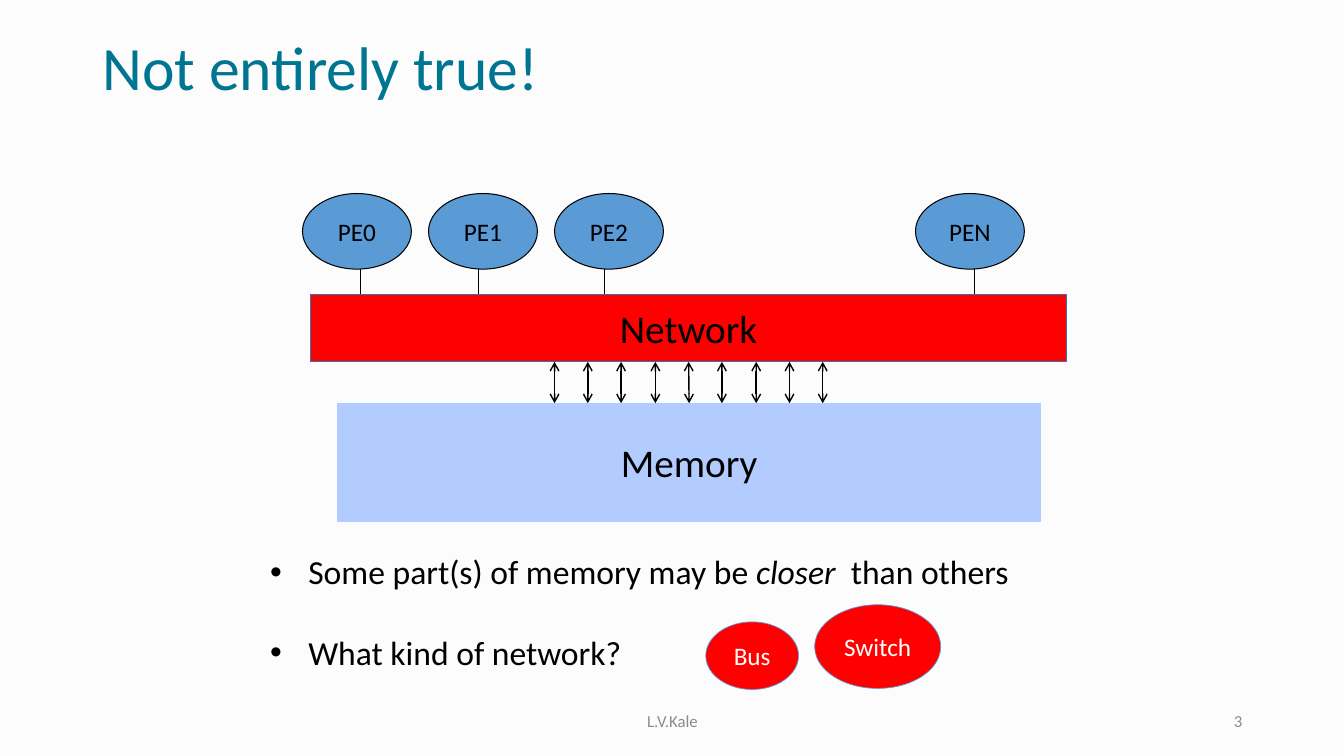
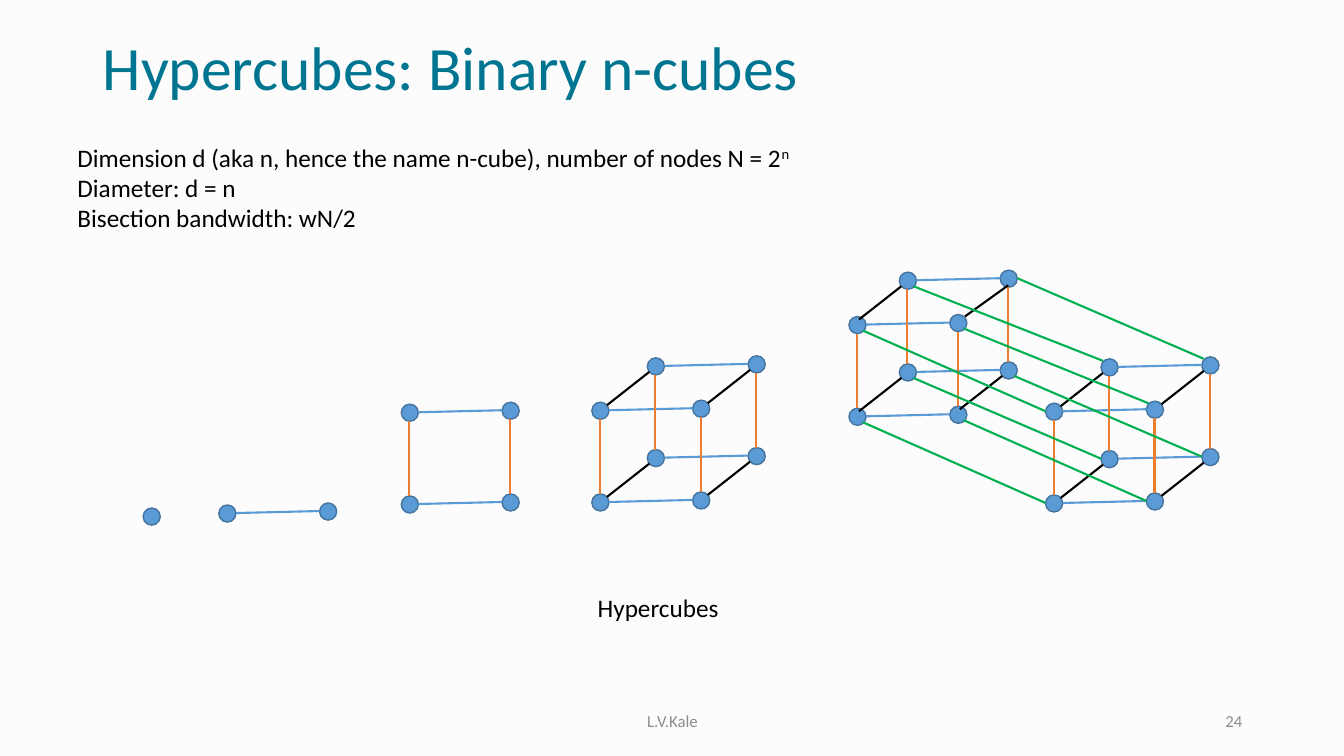
"""Build two lecture slides on shared memory networks and hypercubes."""
from itertools import product

from lxml.etree import SubElement
from pptx import Presentation
from pptx.dml.color import RGBColor
from pptx.enum.shapes import MSO_CONNECTOR as Connector, MSO_SHAPE as Shape
from pptx.enum.text import MSO_ANCHOR as Anchor, PP_ALIGN as Align
from pptx.oxml.ns import qn
from pptx.util import Emu, Pt

PAPER = RGBColor(0xFC, 0xFC, 0xFC)
TEAL = RGBColor(0x00, 0x75, 0x92)
GREY = RGBColor(0x8C, 0x8C, 0x8C)
BLACK = RGBColor(0, 0, 0)
WHITE = RGBColor(0xFF, 0xFF, 0xFF)
RED = RGBColor(0xFF, 0, 0)
BLUE = RGBColor(0x5B, 0x9B, 0xD5)
EDGE_BLUE = RGBColor(0x2E, 0x75, 0xB6)
NODE_EDGE = RGBColor(0x43, 0x73, 0x9E)
PALE_BLUE = RGBColor(0xB2, 0xCC, 0xFF)
ORANGE = RGBColor(0xED, 0x7D, 0x31)
GREEN = RGBColor(0x00, 0xB0, 0x50)

EMU_PER_PX = 9144
NODE = 17
STEPS = ((100, -2), (0, -91), (55, -44))
LEFT, RIGHT, TOP, BOTTOM = (0, 8), (17, 8), (8, 0), (8, 17)
TOP_LEFT, BOTTOM_LEFT, BOTTOM_RIGHT = (2, 2), (2, 14), (14, 14)


def px(length):
    """Turn px into EMU."""
    return Emu(length * EMU_PER_PX)


def assign(target, values):
    """Set attributes of an object from a dict."""
    for name, value in values.items():
        setattr(target, name, value)


def shift(point, step):
    """Move a point by a step."""
    return point[0] + step[0], point[1] + step[1]


class Slides:
    """Hold the shared style and the current page."""

    def __init__(self):
        """Start a deck with its size and background."""
        self.deck = Presentation()
        assign(self.deck, {"slide_width": px(1333), "slide_height": px(750)})
        fill = self.deck.slide_master.background.fill
        fill.solid()
        fill.fore_color.rgb = PAPER
        self.page = None

    def start(self, title, number):
        """Add a page with its title and footer."""
        self.page = self.deck.slides.add_slide(self.deck.slide_layouts[6])
        middle = {"vertical_anchor": Anchor.MIDDLE}
        self.text((92, 28, 1150, 84), [title], 44, TEAL, middle, {"line_spacing": 0.9})
        self.text((442, 695, 450, 40), ["L.V.Kale"], 12, GREY, middle, {"alignment": Align.CENTER})
        self.text((942, 695, 300, 40), [number], 12, GREY, middle, {"alignment": Align.RIGHT})

    def set_lines(self, frame, lines, size, color, layout):
        """Set lines, each a string or a list of (text, font values, baseline)."""
        paras = []
        for index, line in enumerate(lines):
            para = frame.add_paragraph() if index else frame.paragraphs[0]
            assign(para, layout)
            for words, values, baseline in [(line, {}, None)] if isinstance(line, str) else line:
                span = para.add_run()
                span.text = words
                assign(span.font, {"name": "Calibri", "size": Pt(size), **values})
                span.font.color.rgb = color
                if baseline:
                    span._r.get_or_add_rPr().set("baseline", baseline)
            paras.append(para)
        return paras

    def text(self, area, lines, size=18, color=BLACK, frame_values=None, layout=None):
        """Add a text box and return its paragraphs."""
        frame = self.page.shapes.add_textbox(*map(px, area)).text_frame
        assign(frame, {"word_wrap": True, **(frame_values or {})})
        return self.set_lines(frame, lines, size, color, layout or {})

    def bullets(self, area, lines, size, gap):
        """Add a bulleted text box."""
        for index, para in enumerate(self.text(area, lines, size)):
            para.space_before = Pt(gap if index else 0)
            props = para._p.get_or_add_pPr()
            props.set("marL", str(px(38)))
            props.set("indent", str(px(-38)))
            SubElement(props, qn("a:buFont")).set("typeface", "Arial")
            SubElement(props, qn("a:buChar")).set("char", "•")

    def box(self, kind, area, fill, edge, width, label="", size=18, color=BLACK):
        """Add a filled shape with an optional centred label."""
        box = self.page.shapes.add_shape(kind, *map(px, area))
        box.shadow.inherit = False
        box.fill.solid()
        box.fill.fore_color.rgb = fill
        box.line.color.rgb = edge
        box.line.width = Pt(width)
        if label:
            assign(box.text_frame, {"word_wrap": False, "vertical_anchor": Anchor.MIDDLE})
            self.set_lines(box.text_frame, [label], size, color, {"alignment": Align.CENTER})
        return box

    def line(self, start, end, color=BLACK, width=1.5, arrows=False):
        """Add a straight line, with arrowheads at both ends if asked."""
        line = self.page.shapes.add_connector(Connector.STRAIGHT, *map(px, start + end))
        line.line.color.rgb = color
        line.line.width = Pt(width)
        if arrows:
            for tag in ("a:headEnd", "a:tailEnd"):
                SubElement(line.line._get_or_add_ln(), qn(tag)).set("type", "arrow")
        SubElement(line._element.spPr, qn("a:effectLst"))
        return line

    def hypercube(self, origin, dimension, depth=STEPS[2], depth_start=(15, 3), depth_ends=None):
        """Draw a cube of up to three dimensions and return its nodes by bits."""
        nodes = {}
        for bits in product((0, 1), repeat=dimension):
            spot = origin
            for bit, step in zip(bits, STEPS[:2] + (depth,)):
                if bit:
                    spot = shift(spot, step)
            nodes[bits] = spot
            self.box(Shape.OVAL, (*spot, NODE, NODE), BLUE, NODE_EDGE, 1)
        axes = ((BLUE, RIGHT, LEFT), (ORANGE, TOP, BOTTOM), (BLACK, depth_start, BOTTOM_LEFT))
        for axis, (color, *ends) in enumerate(axes[:dimension]):
            for bits, spot in nodes.items():
                if not bits[axis]:
                    far = bits[:axis] + (1,) + bits[axis + 1:]
                    own = (depth_ends or {}).get(bits, ends) if axis == 2 else ends
                    self.line(shift(spot, own[0]), shift(nodes[far], own[1]), color)
        return nodes


def network_page(slides):
    """Draw processors joined to memory by a network."""
    slides.start("Not entirely true!", "3")
    for name, left, wire in (("PE0", 300, 358), ("PE1", 425, 475), ("PE2", 550, 600), ("PEN", 908, 967)):
        slides.box(Shape.OVAL, (left, 192, 108, 75), BLUE, BLACK, 0.75, name)
        slides.line((wire, 267), (wire, 292), BLACK, 0.75)
    memory = slides.box(Shape.RECTANGLE, (335, 400, 697, 117), PALE_BLUE, PALE_BLUE, 0.75, "Memory", 28)
    network = slides.box(Shape.RECTANGLE, (308, 292, 750, 67), RED, EDGE_BLUE, 0.75, "Network", 28)
    for index in range(9):
        left = 550 + index * 100 // 3
        arrow = slides.line((left, 359), (left, 400), BLACK, 1, True)
        if index == 4:
            arrow.begin_connect(network, 2)
            arrow.end_connect(memory, 0)
    closer = [("Some part(s) of memory may be ", {}, None), ("closer ", {"italic": True}, None),
              (" than others", {}, None)]
    slides.bullets((258, 542, 817, 131), [closer, "What kind of network?"], 24, 29)
    for name, area in (("Bus", (700, 617, 92, 67)), ("Switch", (808, 600, 125, 83))):
        slides.box(Shape.OVAL, area, RED, BLUE, 0.5, name, color=WHITE)


def hypercube_page(slides):
    """Draw hypercubes from dimension zero to four."""
    slides.start("Hypercubes: Binary n-cubes", "24")
    slides.text((583, 583, 150, 40), ["Hypercubes"])
    for dimension, origin in enumerate(((142, 504), (217, 501), (398, 492), (587, 490))):
        slides.hypercube(origin, dimension)
    near = slides.hypercube((1037, 491), 3)
    far = slides.hypercube((842, 405), 3, (50, -44), (10, 3), {(1, 1, 0): ((15, 2), (8, 15))})
    for bits, spot in far.items():
        start = RIGHT if bits == (1, 1, 1) else BOTTOM_RIGHT
        end = TOP_LEFT if bits[1] and bits != (0, 1, 0) else LEFT
        slides.line(shift(spot, start), shift(near[bits], end), GREEN)
    nodes = [("Dimension d (aka n, hence the name n-cube), number of nodes N = 2", {}, None),
             ("n", {}, "30000")]
    slides.text((67, 136, 758, 101), [nodes, "Diameter: d = n", "Bisection bandwidth: wN/2"])


def main():
    """Build and save the deck."""
    slides = Slides()
    network_page(slides)
    hypercube_page(slides)
    slides.deck.save("out.pptx")


if __name__ == "__main__":
    main()
